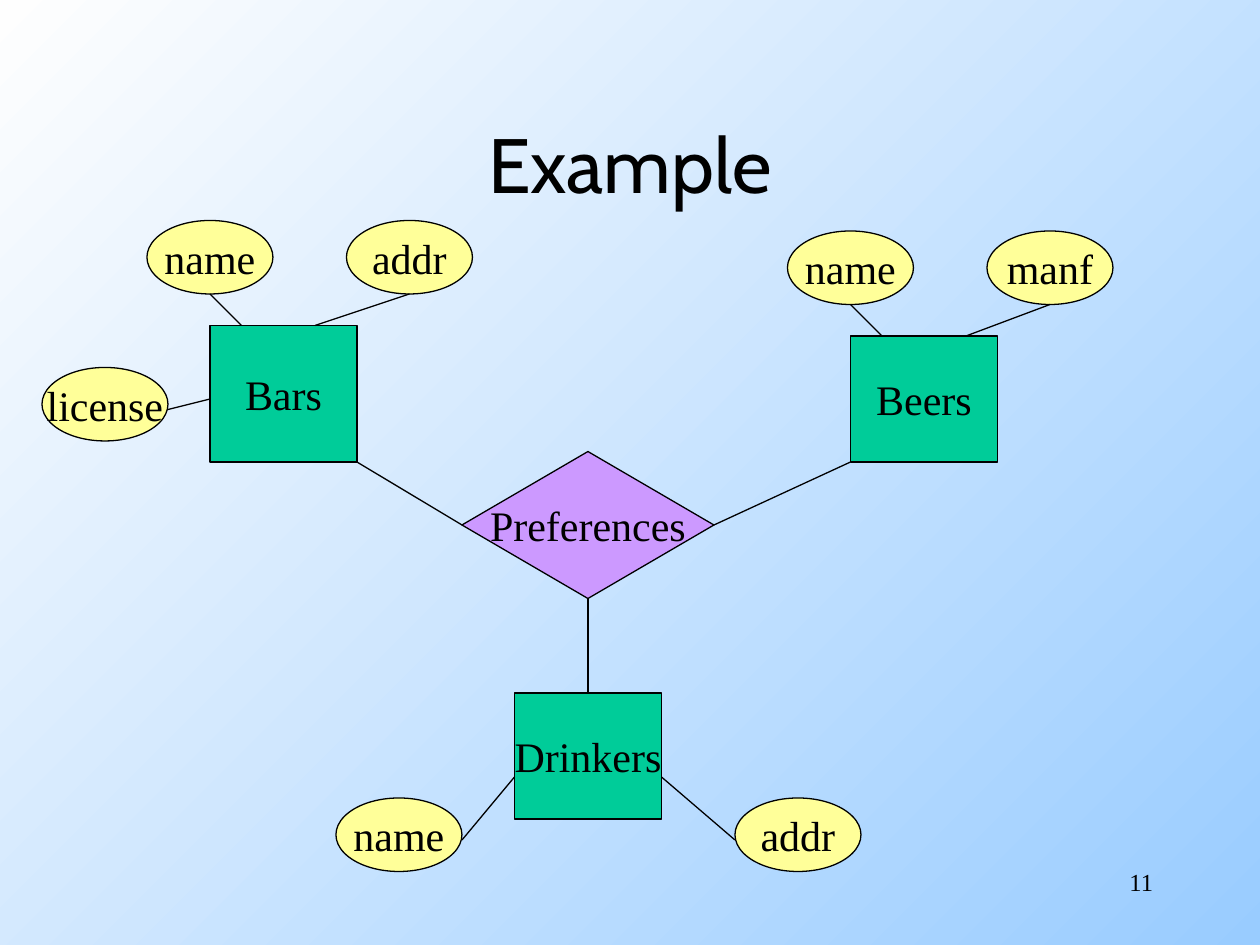
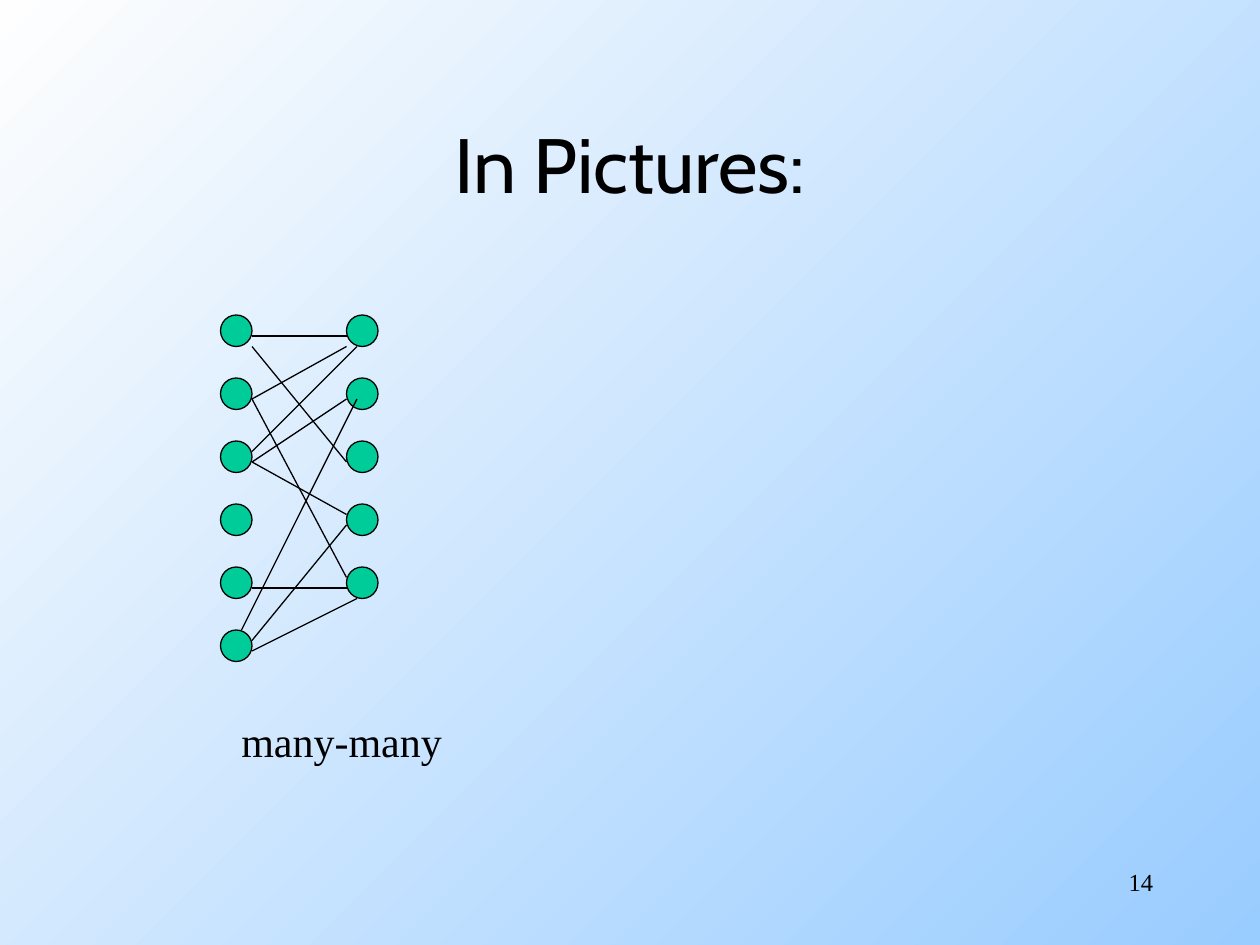
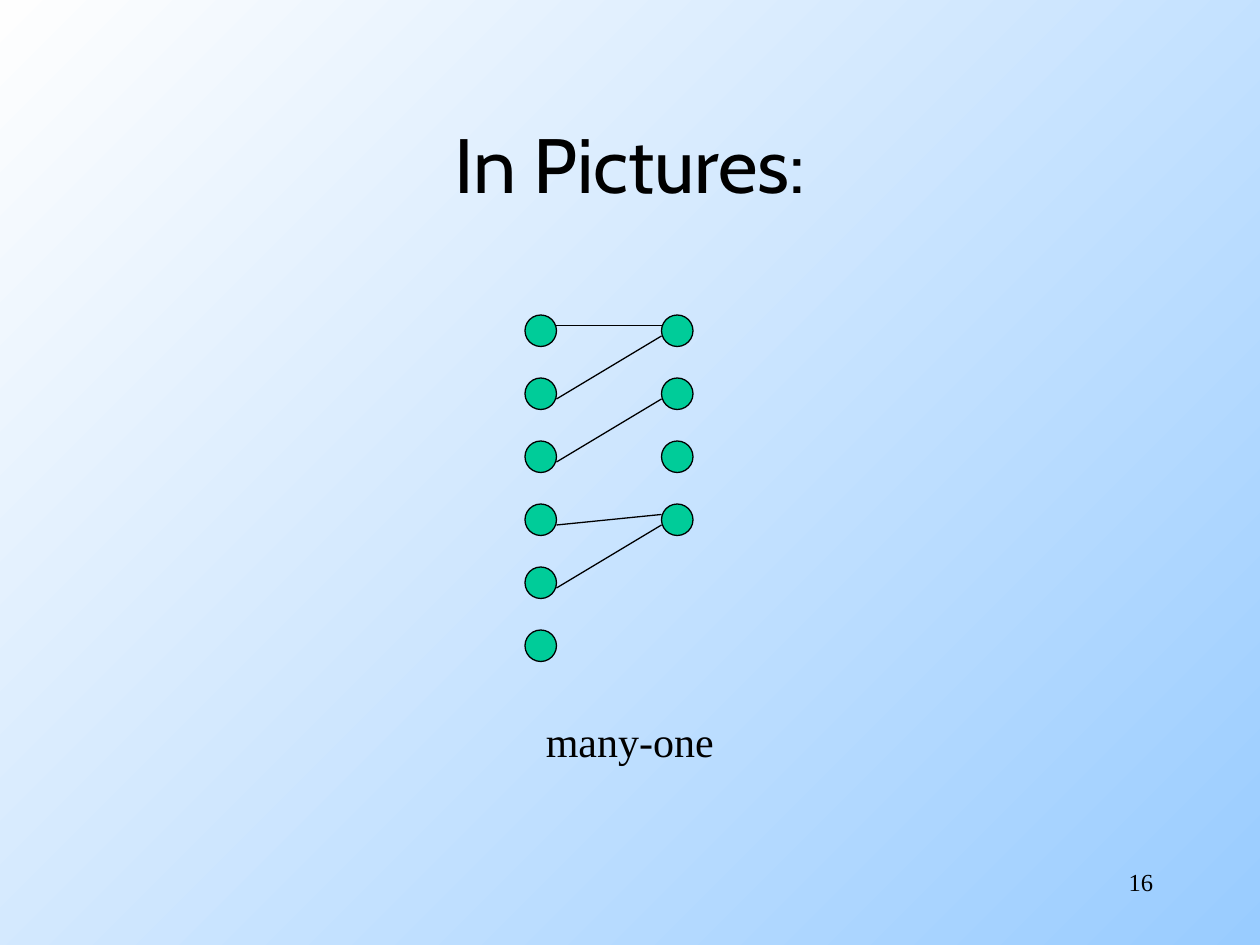
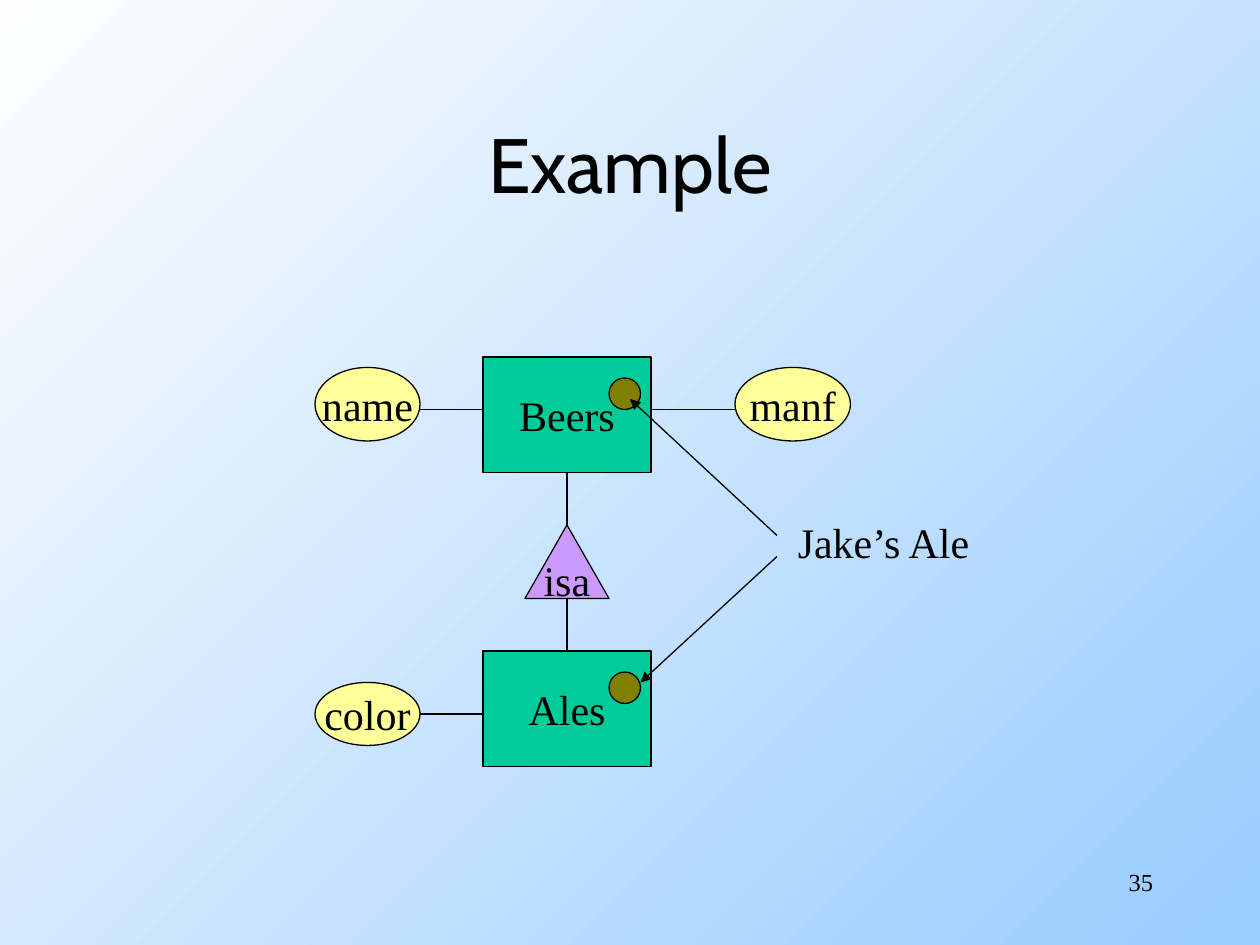
from lxml.etree import SubElement
from pptx import Presentation
from pptx.dml.color import RGBColor
from pptx.enum.shapes import MSO_CONNECTOR, MSO_SHAPE
from pptx.enum.text import MSO_ANCHOR, MSO_AUTO_SIZE, PP_ALIGN
from pptx.oxml.ns import qn
from pptx.util import Inches, Pt


def color(hex_string):
    return RGBColor.from_string(hex_string)


def write(shape, text, size=24, font_name="Times New Roman", align=PP_ALIGN.CENTER):
    paragraph = shape.text_frame.paragraphs[0]
    paragraph.text = text
    paragraph.alignment = align
    font_format = {"name": font_name, "size": Pt(size)}
    for attribute, value in font_format.items():
        setattr(paragraph.font, attribute, value)
    paragraph.font.color.rgb = color(INK)


presentation = Presentation()
presentation.slide_width = Inches(10)
presentation.slide_height = Inches(7.5)

# The grid has 120 columns and 90 rows; every place below is counted in them.
UNIT = presentation.slide_width / 120
INK = "000000"
LINE_WIDTH = Pt(0.75)
TITLE_BOX = (9, 8, 102, 15)
NUMBER_BOX = (86, 82, 25, 6)

# Node kind: preset shape and fill
STYLES = {
    "entity": (MSO_SHAPE.RECTANGLE, "00CC99"),
    "attribute": (MSO_SHAPE.OVAL, "FFFF99"),
    "relationship": (MSO_SHAPE.DIAMOND, "CC99FF"),
    "isa": (MSO_SHAPE.ISOSCELES_TRIANGLE, "CC99FF"),
    "member": (MSO_SHAPE.OVAL, "00CC99"),
    "ale": (MSO_SHAPE.OVAL, "808000"),
}

# Members of two sets: left column, right column and the count in each
many_many, many_one = [
    [
        ("member", "", column, 30 + 6 * row, 3, 3)
        for column, count in columns
        for row in range(count)
    ]
    for columns in [((21, 6), (33, 5)), ((50, 6), (63, 4))]
]

# Nodes: kind, text, left, top, width, height
# Lines and arrows: start column, start row, end column, end row
SLIDES = [
    {
        "title": "Example",
        "number": "11",
        "nodes": [
            ("entity", "Bars", 20, 31, 14, 13),
            ("entity", "Beers", 81, 32, 14, 12),
            ("entity", "Drinkers", 49, 66, 14, 12),
            ("attribute", "name", 14, 21, 12, 7),
            ("attribute", "name", 75, 22, 12, 7),
            ("attribute", "addr", 33, 21, 12, 7),
            ("attribute", "manf", 94, 22, 12, 7),
            ("attribute", "name", 32, 76, 12, 7),
            ("attribute", "addr", 70, 76, 12, 7),
            ("attribute", "license", 4, 35, 12, 7),
            ("relationship", "Preferences", 44, 43, 24, 14),
        ],
        "lines": [
            (16, 39, 20, 38), (20, 28, 23, 31), (39, 28, 30, 31),
            (44, 80, 49, 74), (70, 80, 63, 74),
            (81, 29, 84, 32), (100, 29, 92, 32),
            (44, 50, 34, 44), (56, 57, 56, 66), (68, 50, 81, 44),
        ],
    },
    {
        "title": "In Pictures:",
        "number": "14",
        "nodes": many_many,
        "lines": [
            (24, 33, 33, 44), (24, 32, 33, 32), (24, 38, 33, 33),
            (24, 43, 34, 33), (24, 38, 33, 55), (24, 56, 33, 56),
            (24, 62, 34, 57), (24, 44, 33, 38), (23, 60, 34, 38),
            (24, 61, 33, 50), (33, 49, 24, 44),
        ],
        "label": ("many-many", 21.8, 67.6, 21.5, 6),
    },
    {
        "title": "In Pictures:",
        "number": "16",
        "nodes": many_one,
        "lines": [
            (53, 31, 63, 31), (53, 38, 63, 32), (53, 44, 63, 38),
            (53, 56, 63, 50), (53, 50, 63, 49),
        ],
        "label": ("many-one", 50.8, 67.6, 18.4, 6),
    },
    {
        "title": "Example",
        "number": "35",
        "nodes": [
            ("entity", "Beers", 46, 34, 16, 11),
            ("entity", "Ales", 46, 62, 16, 11),
            ("isa", "isa", 50, 50, 8, 7),
            ("attribute", "name", 30, 35, 10, 7),
            ("attribute", "manf", 70, 35, 11, 7),
            ("attribute", "color", 30, 65, 10, 6),
            ("ale", "", 58, 36, 3, 3),
            ("ale", "", 58, 64, 3, 3),
        ],
        "lines": [
            (40, 39, 46, 39), (70, 39, 62, 39), (54, 50, 54, 45),
            (54, 57, 54, 62), (40, 68, 46, 68),
        ],
        "arrows": [(74, 51, 60, 38), (74, 53, 61, 65)],
        "label": ("Jake’s Ale", 74.8, 48.6, 19, 6),
    },
]

# Shared background
background = presentation.slide_master.background.fill
background.gradient()
background.gradient_angle = 135
for stop, shade in zip(background.gradient_stops, ("99CCFF", "FEFEFE")):
    stop.color.rgb = color(shade)

# Shared title place
title_layout = presentation.slide_layouts.get_by_name("Title Only")
title_place = title_layout.placeholders[0]
for attribute, cells in zip(("left", "top", "width", "height"), TITLE_BOX):
    setattr(title_place, attribute, round(cells * UNIT))
title_place.text_frame.vertical_anchor = MSO_ANCHOR.MIDDLE

for content in SLIDES:
    slide = presentation.slides.add_slide(title_layout)
    shapes = slide.shapes
    write(shapes.title, content["title"], 44, "Cabin")

    for kind, text, *box in content["nodes"]:
        preset, fill = STYLES[kind]
        node = shapes.add_shape(preset, *[round(cells * UNIT) for cells in box])
        node.shadow.inherit = False
        node.fill.solid()
        node.fill.fore_color.rgb = color(fill)
        node.line.color.rgb = color(INK)
        node.line.width = LINE_WIDTH
        if text:
            node.text_frame.word_wrap = False
            node.text_frame.vertical_anchor = MSO_ANCHOR.MIDDLE
            write(node, text)

    arrows = content.get("arrows", [])
    for ends in content["lines"] + arrows:
        connector = shapes.add_connector(
            MSO_CONNECTOR.STRAIGHT, *[round(cells * UNIT) for cells in ends]
        )
        connector.line.color.rgb = color(INK)
        connector.line.width = LINE_WIDTH
        properties = connector._element.spPr
        if ends in arrows:
            SubElement(properties.find(qn("a:ln")), qn("a:tailEnd"), type="triangle")
        SubElement(properties, qn("a:effectLst"))

    if "label" in content:
        text, *box = content["label"]
        label = shapes.add_textbox(*[round(cells * UNIT) for cells in box])
        label.text_frame.word_wrap = False
        label.text_frame.auto_size = MSO_AUTO_SIZE.SHAPE_TO_FIT_TEXT
        write(label, text, align=PP_ALIGN.LEFT)

    number = shapes.add_textbox(*[round(cells * UNIT) for cells in NUMBER_BOX])
    number.text_frame.word_wrap = True
    write(number, content["number"], 14, align=PP_ALIGN.RIGHT)

presentation.save("out.pptx")
